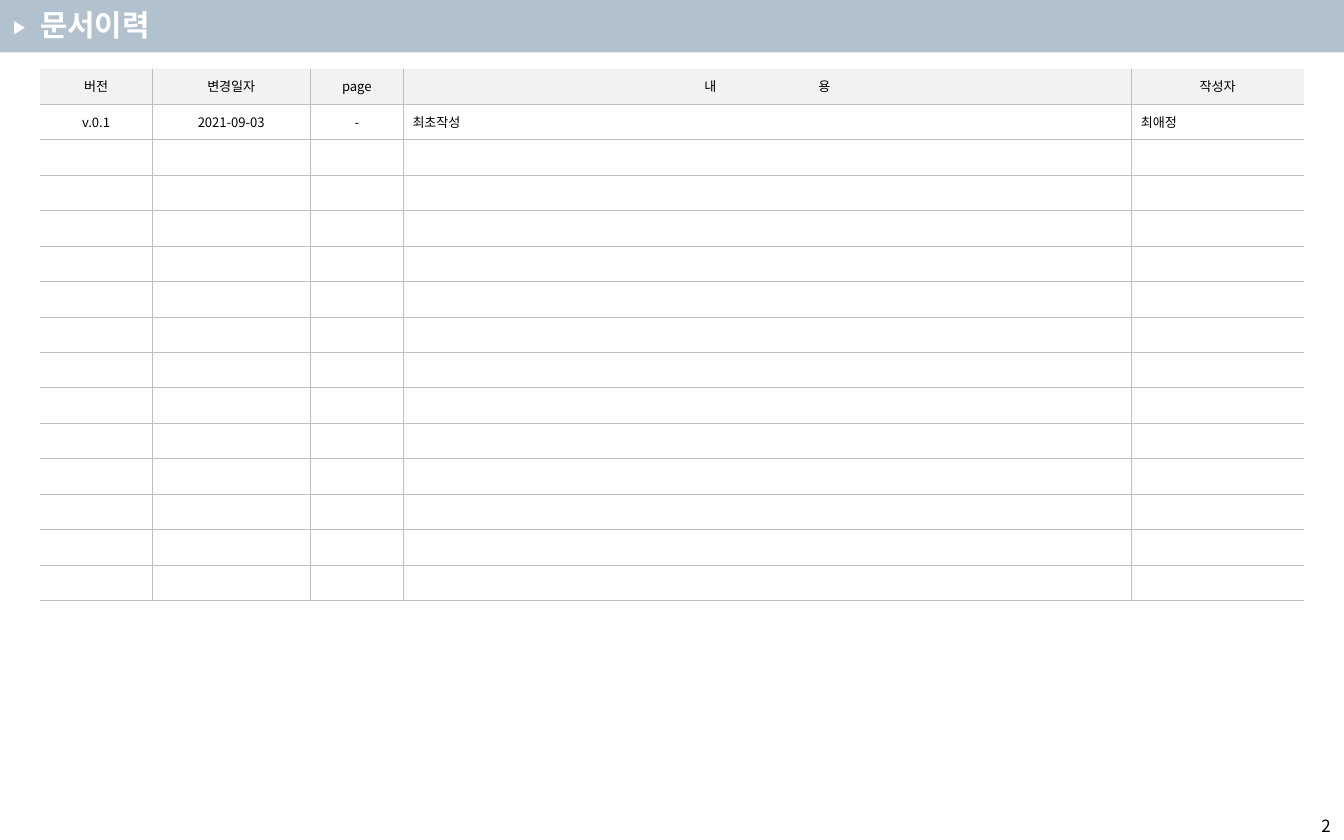
from lxml import etree
from pptx import Presentation
from pptx.dml.color import RGBColor
from pptx.enum.shapes import MSO_SHAPE
from pptx.enum.text import MSO_ANCHOR, PP_ALIGN
from pptx.oxml.ns import qn
from pptx.util import Inches, Pt

RECTANGLE = MSO_SHAPE.RECTANGLE
MIDDLE = MSO_ANCHOR.MIDDLE
LEFT, CENTER, RIGHT = PP_ALIGN.LEFT, PP_ALIGN.CENTER, PP_ALIGN.RIGHT
WHITE = RGBColor(0xFF, 0xFF, 0xFF)
BLACK = RGBColor(0, 0, 0)
BAND_BLUE = RGBColor(0xB2, 0xC1, 0xCE)
HEADER_GRAY = RGBColor(0xF2, 0xF2, 0xF2)
RULE_GRAY = RGBColor(0xBF, 0xBF, 0xBF)
KOREAN = "Noto Sans CJK KR"

TITLE = "문서이력"
MARKER = "▶"
PAGE_NUMBER = "2"
HEADERS = ["버전", "변경일자", "page", "내 용", "작성자"]
HISTORY = [["v.0.1", "2021-09-03", "-", "최초작성", "최애정"]]
COLUMN_WIDTHS = [0.83, 1.18, 0.69, 5.42, 1.28]
COLUMN_ALIGNS = [CENTER, CENTER, CENTER, LEFT, LEFT]
ROW_COUNT = 15
TABLE_HEIGHT = 3.96
HEADER_GAP = Pt(53)
PLAIN_STYLE = "{2D5ABB26-0587-4C30-8999-92F81FD0307C}"

TABLE_FONT = dict(name=KOREAN, size=Pt(7), color=BLACK)
CELL_FORMAT = dict(vertical_anchor=MIDDLE, margin_left=Inches(0.07), margin_right=Inches(0.07),
                   margin_top=Inches(0.04), margin_bottom=Inches(0.04))


def apply(target, values):
    for key, value in values.items():
        setattr(target, key, value)


def write(paragraph, text, name, size, color, bold=False, align=LEFT):
    paragraph.alignment = align
    run = paragraph.add_run()
    run.text = text
    apply(run.font, dict(name=name, size=size, bold=bold))
    run.font.color.rgb = color
    etree.SubElement(run.font._element, qn("a:ea"), typeface=KOREAN)
    return run


def add_text(slide, box, text, frame_format, **style):
    frame = slide.shapes.add_textbox(*map(Inches, box)).text_frame
    apply(frame, frame_format)
    write(frame.paragraphs[0], text, **style)


def rule_cell(cell, sides):
    properties = cell._tc.get_or_add_tcPr()
    for side in "LRTB":
        line = etree.SubElement(properties, qn("a:ln" + side), w=str(Pt(0.25)))
        if side in sides:
            fill = etree.SubElement(line, qn("a:solidFill"))
            etree.SubElement(fill, qn("a:srgbClr"), val=str(RULE_GRAY))
        else:
            etree.SubElement(line, qn("a:noFill"))


def fill_cell(cell, text, align, sides, header):
    apply(cell, CELL_FORMAT)
    rule_cell(cell, sides)
    if header:
        cell.fill.solid()
        cell.fill.fore_color.rgb = HEADER_GRAY
    else:
        cell.fill.background()
    paragraph = cell.text_frame.paragraphs[0]
    if not text:
        etree.SubElement(paragraph._p, qn("a:endParaRPr"), sz=str(TABLE_FONT["size"].centipoints))
        return
    first, gap, last = text.partition(" ")
    write(paragraph, first, align=align, **TABLE_FONT)
    if gap:
        spaced = write(paragraph, gap, align=align, **TABLE_FONT)
        spaced.font._element.set("spc", str(HEADER_GAP.centipoints))
        write(paragraph, last, align=align, **TABLE_FONT)


deck = Presentation()
apply(deck, dict(slide_width=Inches(10), slide_height=Inches(6.25)))
slide = deck.slides.add_slide(deck.slide_layouts[6])

add_text(slide, (7, 6.02, 3, 0.25), PAGE_NUMBER, dict(word_wrap=True, vertical_anchor=MIDDLE),
         name=KOREAN, size=Pt(9), color=BLACK, align=RIGHT)

band = slide.shapes.add_shape(RECTANGLE, 0, 0, deck.slide_width, Inches(0.39))
band.shadow.inherit = False
band.fill.solid()
band.fill.fore_color.rgb = BAND_BLUE
band.line.fill.background()
apply(band.text_frame, dict(word_wrap=False, vertical_anchor=MIDDLE))
write(band.text_frame.paragraphs[0], MARKER, "Open Sans", Pt(10), WHITE)

history = slide.shapes.add_table(ROW_COUNT, len(HEADERS), Inches(0.3), Inches(0.51),
                                 Inches(sum(COLUMN_WIDTHS)), Inches(TABLE_HEIGHT)).table
history.horz_banding = False
history._tbl.tblPr.find(qn("a:tableStyleId")).text = PLAIN_STYLE
for column, width in zip(history.columns, COLUMN_WIDTHS):
    column.width = Inches(width)

blank = [""] * len(HEADERS)
entries = [HEADERS] + HISTORY + [blank] * (ROW_COUNT - 1 - len(HISTORY))
for r, entry in enumerate(entries):
    for c, text in enumerate(entry):
        sides = "B" + "T" * (r > 0) + "L" * (c > 0) + "R" * (c < len(HEADERS) - 1)
        align = COLUMN_ALIGNS[c] if r else CENTER
        fill_cell(history.cell(r, c), text, align, sides, header=r == 0)

add_text(slide, (0.2, 0, 1.21, 0.37), TITLE, dict(word_wrap=True),
         name="Arial", size=Pt(16), color=WHITE, bold=True)

deck.save("out.pptx")
